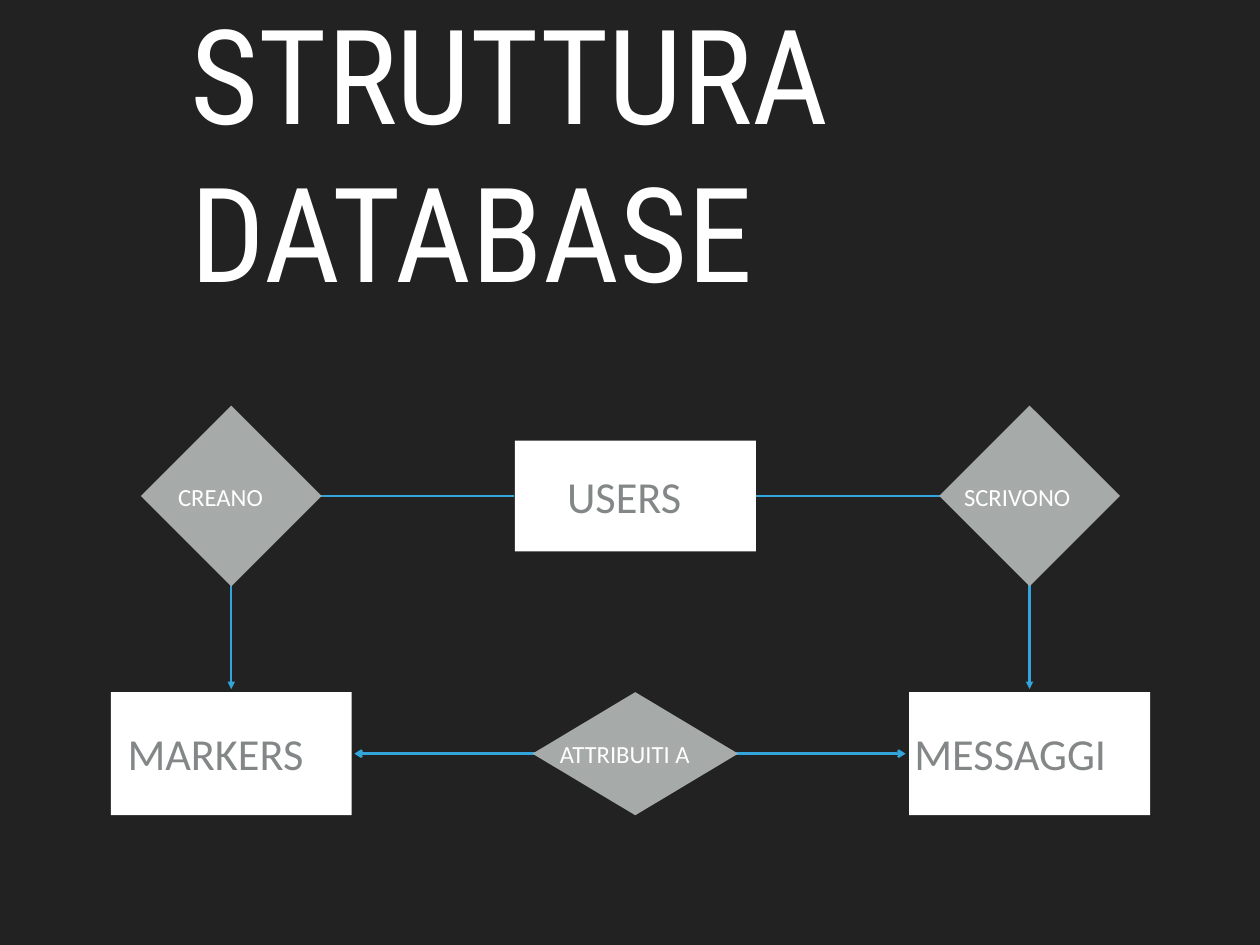
from typing import NamedTuple

from lxml.etree import SubElement
from pptx import Presentation
from pptx.dml.color import RGBColor
from pptx.enum.shapes import MSO_CONNECTOR, MSO_SHAPE
from pptx.enum.text import MSO_ANCHOR, PP_ALIGN
from pptx.oxml.ns import qn
from pptx.util import Inches, Pt

BACKGROUND = RGBColor(0x22, 0x22, 0x22)
WHITE = RGBColor(0xFF, 0xFF, 0xFF)
GREY = RGBColor(0xA6, 0xAA, 0xA9)
DARK_GREY = RGBColor(0x83, 0x87, 0x87)
BLUE = RGBColor(0x34, 0xA5, 0xDA)

# Shared axes of the diagram
LEFT_X, MIDDLE_X, RIGHT_X = 2.61, 7.17, 11.62
TOP_Y, BOTTOM_Y = 5.6, 8.51
ENTITY_WIDTH = 2.72


class Node(NamedTuple):
    center_x: float
    center_y: float
    width: float
    height: float


class Link(NamedTuple):
    start: tuple[float, float]
    end: tuple[float, float]
    head: str = ""
    tail: str = ""


class Label(NamedTuple):
    text: str
    left: float
    top: float
    width: float
    height: float
    size: int
    color: RGBColor
    font: str = "Calibri"


ENTITIES = [
    Node(MIDDLE_X, TOP_Y, ENTITY_WIDTH, 1.25),
    Node(LEFT_X, BOTTOM_Y, ENTITY_WIDTH, 1.39),
    Node(RIGHT_X, BOTTOM_Y, ENTITY_WIDTH, 1.39),
]
RELATIONS = [
    Node(LEFT_X, TOP_Y, 2.04, 2.04),
    Node(RIGHT_X, TOP_Y, 2.04, 2.04),
    Node(MIDDLE_X, BOTTOM_Y, 2.32, 1.39),
]
LINKS = [
    Link((LEFT_X, TOP_Y), (LEFT_X, 7.78), tail="triangle"),
    Link((RIGHT_X, TOP_Y), (RIGHT_X, 7.78), tail="triangle"),
    Link((LEFT_X, TOP_Y), (5.8, TOP_Y)),
    Link((8.53, TOP_Y), (RIGHT_X, TOP_Y)),
    Link((10.22, BOTTOM_Y), (4, BOTTOM_Y), head="arrow", tail="arrow"),
]
LABELS = [
    Label("USERS", 6.34, 5.2, 1.66, 0.79, 36, DARK_GREY),
    Label("MARKERS", 1.38, 8.11, 2.46, 0.79, 36, DARK_GREY),
    Label("MESSAGGI", 10.26, 8.11, 2.71, 0.79, 36, DARK_GREY),
    Label("CREANO", 1.95, 5.36, 1.31, 0.49, 20, WHITE),
    Label("SCRIVONO", 10.82, 5.36, 1.59, 0.49, 20, WHITE),
    Label("ATTRIBUITI A", 6.26, 8.26, 1.81, 0.49, 20, WHITE),
    Label("STRUTTURA DATABASE", 2.09, 0.91, 10.15, 1.59, 107, WHITE, "Roboto Condensed"),
]


def draw_node(page, node: Node, kind: MSO_SHAPE, color: RGBColor) -> None:
    shape = page.shapes.add_shape(
        kind,
        Inches(node.center_x - node.width / 2),
        Inches(node.center_y - node.height / 2),
        Inches(node.width),
        Inches(node.height),
    )
    shape.shadow.inherit = False
    shape.fill.solid()
    shape.fill.fore_color.rgb = color
    shape.line.fill.background()


def draw_link(page, link: Link) -> None:
    points = [Inches(value) for value in (*link.start, *link.end)]
    connector = page.shapes.add_connector(MSO_CONNECTOR.STRAIGHT, *points)
    connector.line.color.rgb = BLUE
    connector.line.width = Pt(2)
    outline = connector.line._get_or_add_ln()
    for tag, arrow in (("a:headEnd", link.head), ("a:tailEnd", link.tail)):
        if arrow:
            SubElement(outline, qn(tag), type=arrow)
    SubElement(connector._element.spPr, qn("a:effectLst"))


def draw_label(page, label: Label) -> None:
    box = page.shapes.add_textbox(
        Inches(label.left), Inches(label.top), Inches(label.width), Inches(label.height)
    )
    frame = box.text_frame
    frame.text = label.text
    frame.word_wrap = True
    frame.vertical_anchor = MSO_ANCHOR.MIDDLE
    frame.margin_left = frame.margin_right = Inches(0.06)
    frame.margin_top = frame.margin_bottom = Inches(0.06)
    para = frame.paragraphs[0]
    para.alignment = PP_ALIGN.LEFT
    span = para.runs[0]
    span.font.name = label.font
    span.font.size = Pt(label.size)
    span.font.color.rgb = label.color


def main() -> None:
    deck = Presentation()
    deck.slide_width, deck.slide_height = Inches(14.22), Inches(10.67)
    page = deck.slides.add_slide(deck.slide_layouts[6])
    page.background.fill.solid()
    page.background.fill.fore_color.rgb = BACKGROUND

    # Entities, then links that run beneath the relations
    for entity in ENTITIES:
        draw_node(page, entity, MSO_SHAPE.RECTANGLE, WHITE)
    for link in LINKS:
        draw_link(page, link)
    for relation in RELATIONS:
        draw_node(page, relation, MSO_SHAPE.DIAMOND, GREY)

    # Names and title
    for label in LABELS:
        draw_label(page, label)

    deck.save("out.pptx")


if __name__ == "__main__":
    main()
